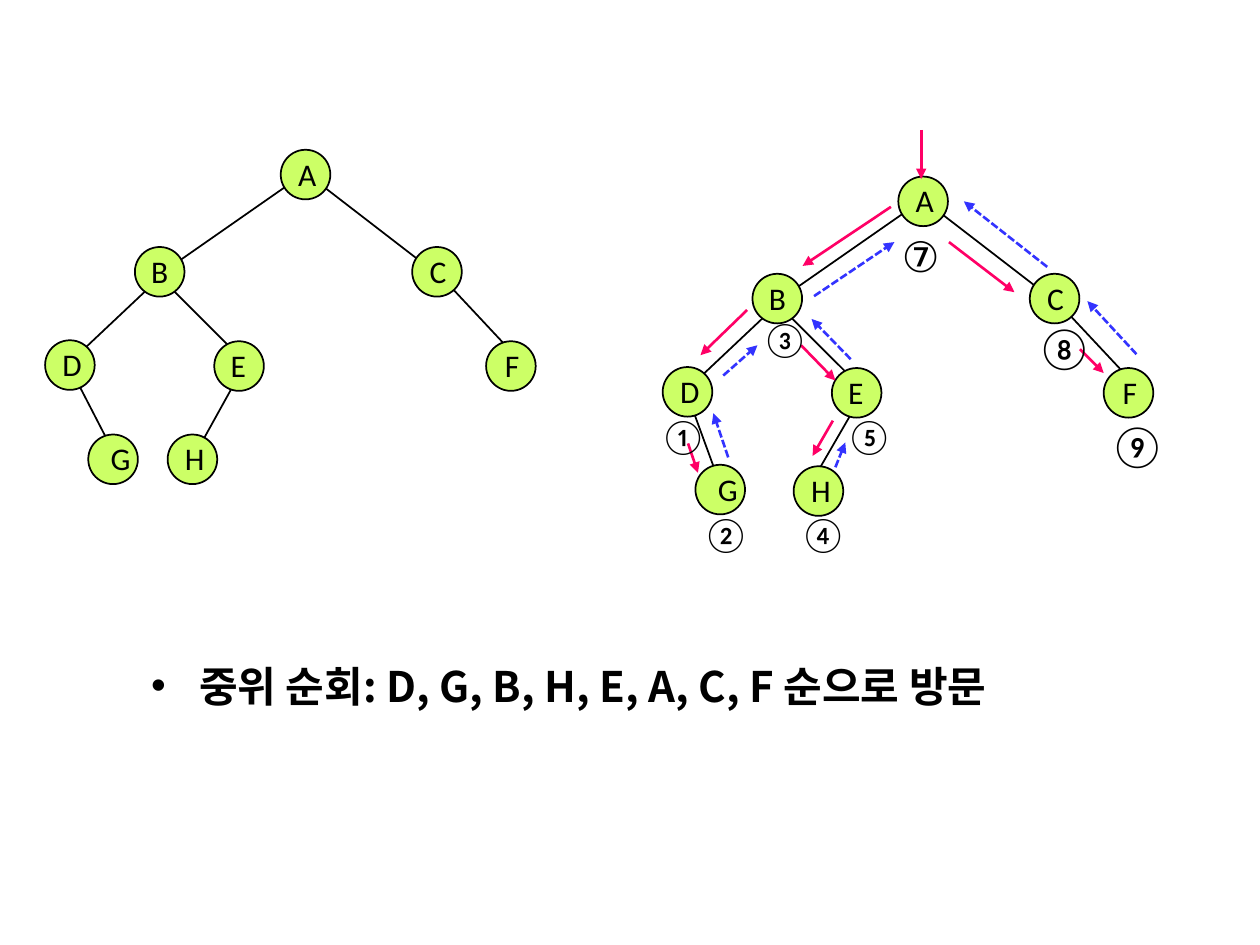
"""Build a slide that shows inorder traversal of a binary tree."""
from lxml.etree import SubElement
from pptx import Presentation
from pptx.dml.color import RGBColor as RGB
from pptx.enum.dml import MSO_LINE as DASH
from pptx.enum.shapes import MSO_CONNECTOR as CONN, MSO_SHAPE as SHAPE
from pptx.enum.text import MSO_ANCHOR as ANCHOR, MSO_AUTO_SIZE as AUTO, PP_ALIGN as ALIGN
from pptx.oxml.ns import qn
from pptx.util import Cm, Pt

COLORS = {"ink": "000000", "node": "CCFF66", "visit": "FF0066", "back": "3333FF"}
D = 1.0


def add_line(points, color, width, arrow=False):
    c = slide.shapes.add_connector(CONN.STRAIGHT, *map(Cm, points))
    c.line.color.rgb = RGB.from_string(COLORS[color])
    c.line.width = Pt(width)
    if color == "back":
        c.line.dash_style = DASH.SQUARE_DOT
    if arrow:
        SubElement(c.line._get_or_add_ln(), qn("a:tailEnd"), type="triangle")
    SubElement(c._element.spPr, qn("a:effectLst"))


def add_run(p, text, size, font, bold=None):
    r = p.add_run()
    r.text = text
    r.font.size, r.font.name, r.font.bold = Pt(size), font, bold
    r.font.color.rgb = RGB.from_string(COLORS["ink"])
    SubElement(r._r.get_or_add_rPr(), qn("a:ea"), typeface=font)


prs = Presentation()
prs.slide_width, prs.slide_height = Cm(25.4), Cm(19.05)
slide = prs.slides.add_slide(prs.slide_layouts[1])
title = slide.shapes.title._element
title.getparent().remove(title)

upper_nodes = {
    "A": (5.66, 3.02), "B": (2.72, 4.98), "C": (8.31, 4.98),
    "D": (0.91, 6.86), "E": (4.32, 6.88), "F": (9.8, 6.88),
}
upper_edges = [
    (3.38, 5.74, 4.78, 7.14), (8.86, 5.54, 10.62, 7.42), (3.28, 5.54, 1.37, 7.34),
    (6.12, 3.51, 3.28, 5.49), (6.22, 3.53, 8.79, 5.51),
]
trees = [
    (0, 0, {"G": (1.78, 8.76), "H": (3.38, 8.76)},
     [(1.45, 7.49, 2.24, 9.02), (4.83, 7.54, 4.01, 9.02)]),
    (12.45, 0.54, {"G": (1.57, 8.83), "H": (3.55, 8.86)},
     [(1.44, 7.51, 1.98, 8.99), (4.85, 7.56, 4.01, 9.01)]),
]
label_shift = {"B": 0.08, "E": 0.08, "F": 0.13, "G": 0.2}

for dx, dy, leaves, leaf_edges in trees:
    for x1, y1, x2, y2 in leaf_edges + upper_edges:
        add_line((x1 + dx, y1 + dy, x2 + dx, y2 + dy), "ink", 1)
    nodes = {**upper_nodes, **leaves}
    for x, y in nodes.values():
        s = slide.shapes.add_shape(SHAPE.OVAL, Cm(x + dx), Cm(y + dy), Cm(D), Cm(D))
        s.shadow.inherit = False
        s.fill.solid()
        s.fill.fore_color.rgb = RGB.from_string(COLORS["node"])
        s.line.color.rgb = RGB.from_string(COLORS["ink"])
        s.line.width = Pt(1)
    for name, (x, y) in nodes.items():
        left = x + dx + label_shift.get(name, 0.1)
        width = 0.69 if name == "G" else 0.79
        s = slide.shapes.add_textbox(Cm(left), Cm(y + dy - 0.03), Cm(width), Cm(1.02))
        tf = s.text_frame
        tf.word_wrap = True
        tf.auto_size = AUTO.SHAPE_TO_FIT_TEXT
        tf.vertical_anchor = ANCHOR.MIDDLE
        p = tf.paragraphs[0]
        p.alignment = ALIGN.CENTER
        add_run(p, name, 18, "Calibri")

arrows = {
    "visit": [
        (18.57, 2.62, 18.57, 3.61), (17.96, 4.17, 16.18, 5.36),
        (15.06, 6.25, 14.12, 7.16), (13.87, 8.94, 14.07, 9.53),
        (16.15, 6.96, 16.84, 7.67), (16.79, 8.48, 16.38, 9.19),
        (19.13, 4.88, 20.45, 5.89), (21.77, 7.04, 22.25, 7.52),
    ],
    "back": [
        (14.68, 9.22, 14.38, 8.33), (14.58, 7.57, 15.27, 6.96),
        (22.91, 7.14, 21.92, 6.07), (21.11, 5.38, 19.43, 4.06),
        (17.15, 7.24, 16.36, 6.43), (16.84, 9.42, 17.04, 8.92),
        (16.41, 5.97, 18.03, 4.88),
    ],
}
for color, lines in arrows.items():
    for points in lines:
        add_line(points, color, 1.5, arrow=True)

steps = [
    ("①", 13.06, 8.23, 20, "Calibri"), ("②", 13.92, 10.21, 20, "Calibri"),
    ("③", 15.11, 6.27, 20, "Calibri"), ("④", 15.88, 10.21, 20, "Calibri"),
    ("⑤", 16.81, 8.23, 20, "Calibri"), ("⑦", 17.93, 4.52, 24, "Cabin"),
    ("⑧", 20.65, 6.35, 24, "Calibri"), ("⑨", 22.12, 8.33, 24, "Calibri"),
]
for mark, x, y, size, font in steps:
    width, height = (1.22, 1.12) if size == 20 else (1.27, 1.27)
    s = slide.shapes.add_textbox(Cm(x), Cm(y), Cm(width), Cm(height))
    tf = s.text_frame
    tf.word_wrap = False
    tf.auto_size = AUTO.SHAPE_TO_FIT_TEXT
    add_run(tf.paragraphs[0], mark, size, font)

body = slide.placeholders[1]
body.left, body.top, body.width, body.height = Cm(2.79), Cm(13.18), Cm(20.12), Cm(1.27)
tf = body.text_frame
tf.auto_size = AUTO.SHAPE_TO_FIT_TEXT
p = tf.paragraphs[0]
p.space_before = Pt(0)
pPr = p._p.get_or_add_pPr()
pPr.set("marL", str(Cm(0.97)))
pPr.set("indent", str(-Cm(0.97)))
SubElement(pPr, qn("a:buFont"), typeface="Arial")
SubElement(pPr, qn("a:buChar"), char="•")
add_run(p, "중위 순회: D, G, B, H, E, A, C, F 순으로 방문", 24, "Noto Sans CJK KR", True)

prs.save("out.pptx")
